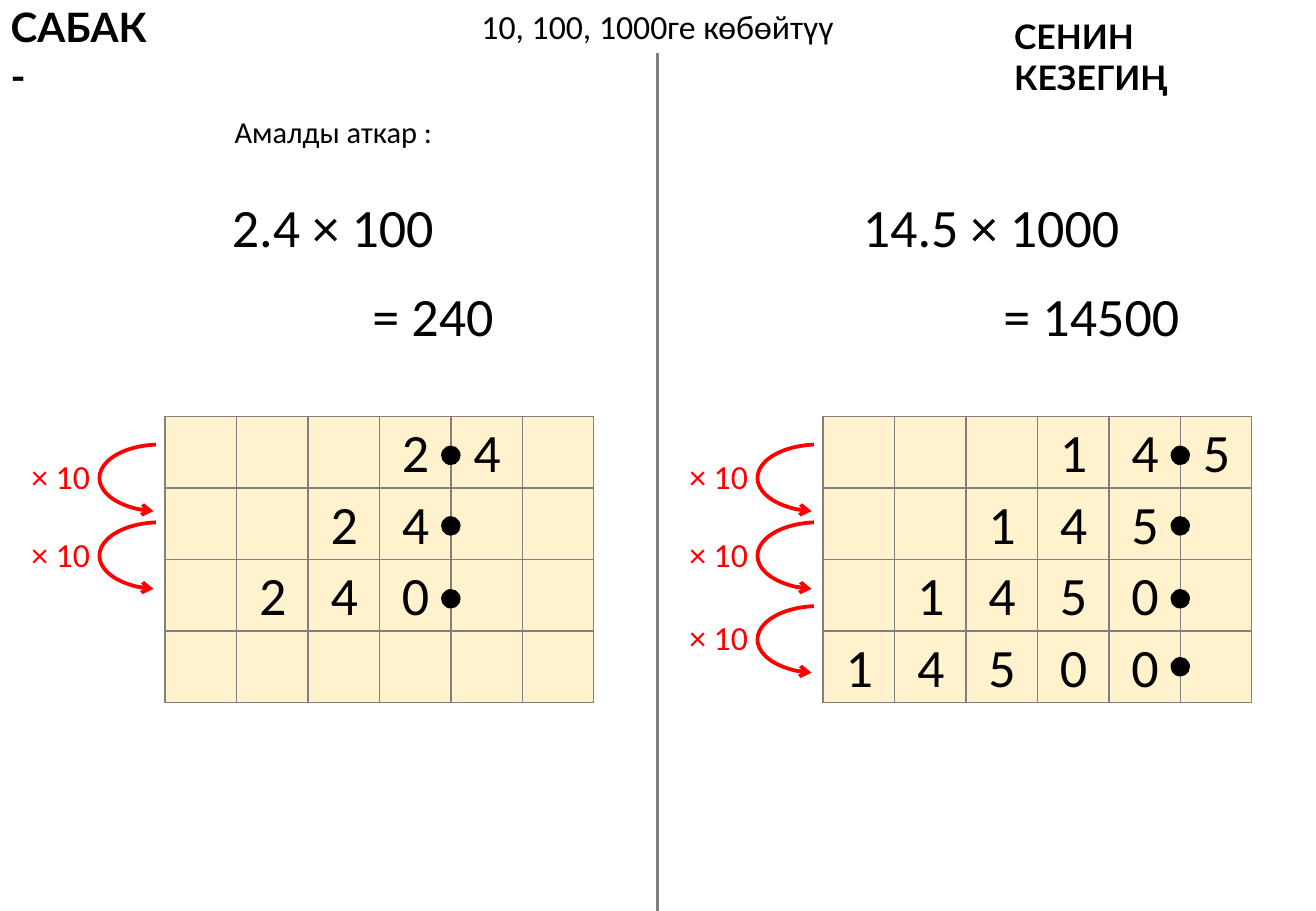
"""Build a two-panel lesson slide on multiplying decimals by 10, 100 and 1000."""
import lxml.etree
import pptx
import pptx.util
from pptx.dml.color import RGBColor
from pptx.enum.shapes import MSO_CONNECTOR, MSO_SHAPE
from pptx.enum.text import MSO_ANCHOR, MSO_AUTO_SIZE, PP_ALIGN
from pptx.oxml.ns import qn

Pt = pptx.util.Pt
COLORS = {"text": "000000", "step": "FF0000", "cell": "FFF2CC", "rule": "808080"}
RGB = {name: RGBColor.from_string(value) for name, value in COLORS.items()}
CELL = 42.36
DOT = 11.5


def set_text(sp, text, size, align=PP_ALIGN.CENTER, color="text", font="Calibri", bold=False, wrap=False):
    tf = sp.text_frame
    tf.text = text
    tf.word_wrap = wrap
    tf.auto_size = MSO_AUTO_SIZE.NONE
    tf.vertical_anchor = MSO_ANCHOR.TOP
    p = tf.paragraphs[0]
    p.alignment = align
    r = p.runs[0]
    r.font.name = font
    r.font.size = Pt(size)
    r.font.bold = bold
    r.font.color.rgb = RGB[color]


def add_text(s, box, text, size, **style):
    sp = s.shapes.add_textbox(*[Pt(v) for v in box])
    set_text(sp, text, size, **style)


prs = pptx.Presentation()
prs.slide_width, prs.slide_height = Pt(780), Pt(540)
s = prs.slides.add_slide(prs.slide_layouts[5])

title = s.shapes.title
title.left, title.top, title.width, title.height = Pt(277.2), Pt(0), Pt(225.4), Pt(31.7)
set_text(title, "10, 100, 1000ге көбөйтүү", 20)

heading = {"align": PP_ALIGN.LEFT, "font": "Lato", "bold": True, "wrap": True}
add_text(s, (-0.7, -2.2, 103.7, 36), "САБАК -", 24, **heading)
add_text(s, (594, 5.8, 175, 31.7), "СЕНИН КЕЗЕГИҢ", 20, **heading)
add_text(s, (131, 63.4, 133.2, 28.8), "Амалды аткар :", 18)

panels = [
    {"left": 0, "task": ("2.4 × 100", 129.6, 135.4), "answer": ("= 240", 213.1, 87.1),
     "digits": ["   24 ", "  24  ", " 240  "], "point": 4},
    {"left": 390, "task": ("14.5 × 1000", 503.3, 168.5), "answer": ("= 14500", 586.8, 120.2),
     "digits": ["   145", "  145 ", " 1450 ", "14500 "], "point": 5},
]
step_tops = [263.5, 309.6, 359.3]
dot_tops = [264.2, 306, 349.2, 389.5]

for panel in panels:
    left = panel["left"]
    table_left = left + 97.8
    for (text, x, width), top in ((panel["task"], 110.9), (panel["answer"], 164.2)):
        add_text(s, (x, top, width, 46), text, 32)

    table = s.shapes.add_table(4, 6, Pt(table_left), Pt(247), Pt(6 * CELL), Pt(4 * CELL)).table
    table.first_row = table.horz_banding = False
    for line in [*table.columns]:
        line.width = Pt(CELL)
    for line in [*table.rows]:
        line.height = Pt(CELL)
    for cell in table.iter_cells():
        tcPr = cell._tc.get_or_add_tcPr()
        for side in ("a:lnL", "a:lnR", "a:lnT", "a:lnB"):
            ln = lxml.etree.SubElement(tcPr, qn(side), w=str(Pt(1)))
            fill = lxml.etree.SubElement(ln, qn("a:solidFill"))
            lxml.etree.SubElement(fill, qn("a:srgbClr"), val=COLORS["rule"])
        cell.fill.solid()
        cell.fill.fore_color.rgb = RGB["cell"]

    for row, digits in enumerate(panel["digits"]):
        for col, digit in enumerate(digits):
            if digit != " ":
                add_text(s, (table_left + 6 + col * CELL, 244.8 + row * CELL, 31, 46), digit, 32)
        dot_left = table_left + panel["point"] * CELL - DOT / 2
        dot = s.shapes.add_shape(MSO_SHAPE.OVAL, Pt(dot_left), Pt(dot_tops[row]), Pt(DOT), Pt(DOT))
        dot.shadow.inherit = False
        dot.fill.solid()
        dot.fill.fore_color.rgb = RGB["text"]
        dot.line.fill.background()

    for top in step_tops[:len(panel["digits"]) - 1]:
        arc = s.shapes.add_shape(MSO_SHAPE.ARC, Pt(left + 59), Pt(top), Pt(72), Pt(39.6))
        arc.adjustments[0], arc.adjustments[1] = 60.75, 157.62
        arc.shadow.inherit = False
        arc.fill.background()
        arc.line.color.rgb = RGB["step"]
        arc.line.width = Pt(2.25)
        lxml.etree.SubElement(arc.line._get_or_add_ln(), qn("a:headEnd"), type="arrow")
        add_text(s, (left + 10.8, top + 3, 49.7, 31.7), "× 10", 20, align=PP_ALIGN.RIGHT, color="step")

divider = s.shapes.add_connector(MSO_CONNECTOR.STRAIGHT, Pt(389.7), Pt(31.7), Pt(389.7), Pt(540))
divider.line.color.rgb = RGB["rule"]
divider.line.width = Pt(2.25)
lxml.etree.SubElement(divider._element.spPr, qn("a:effectLst"))

prs.save("out.pptx")
